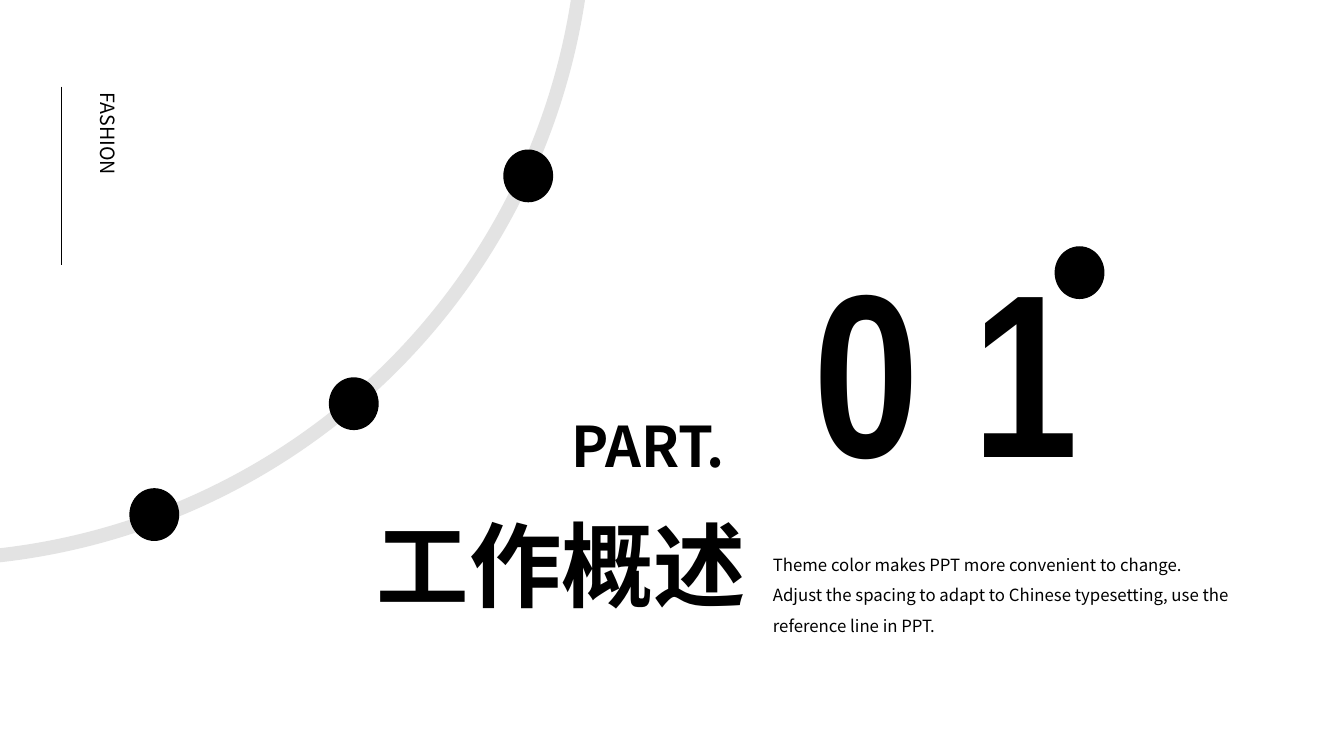
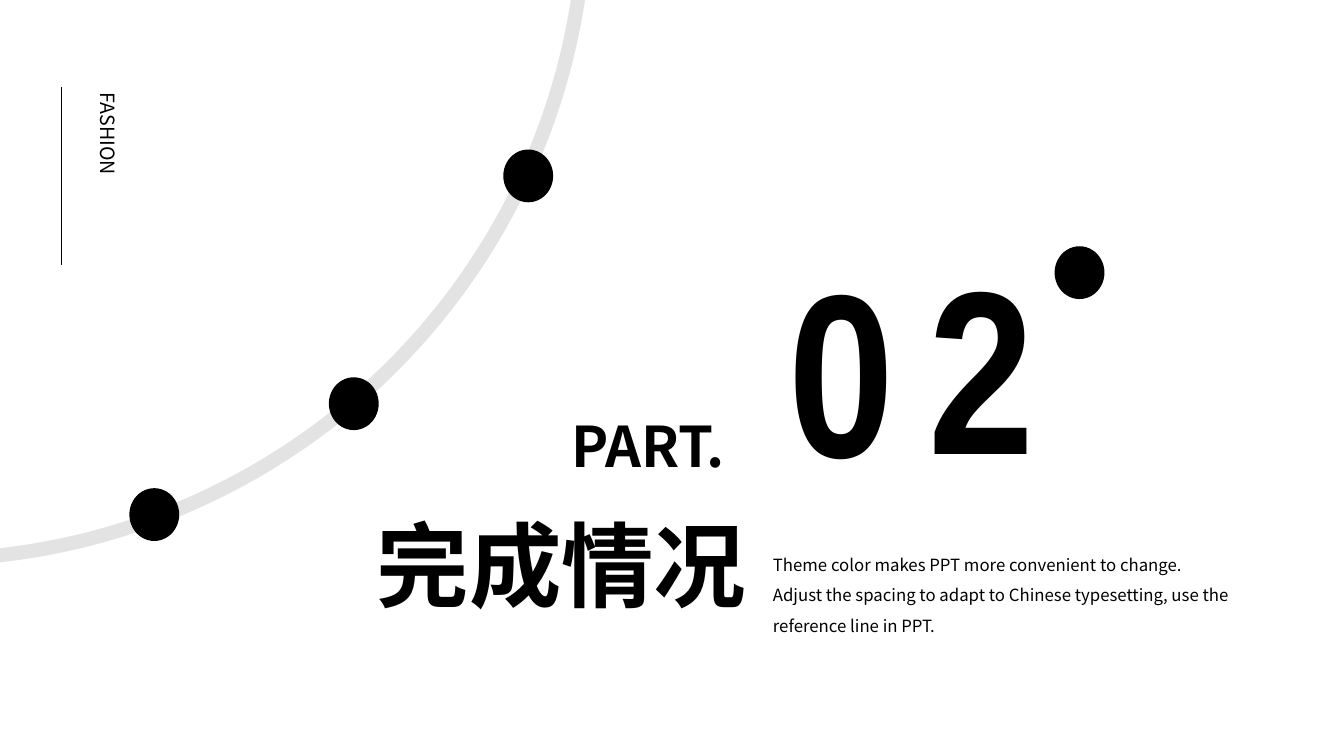
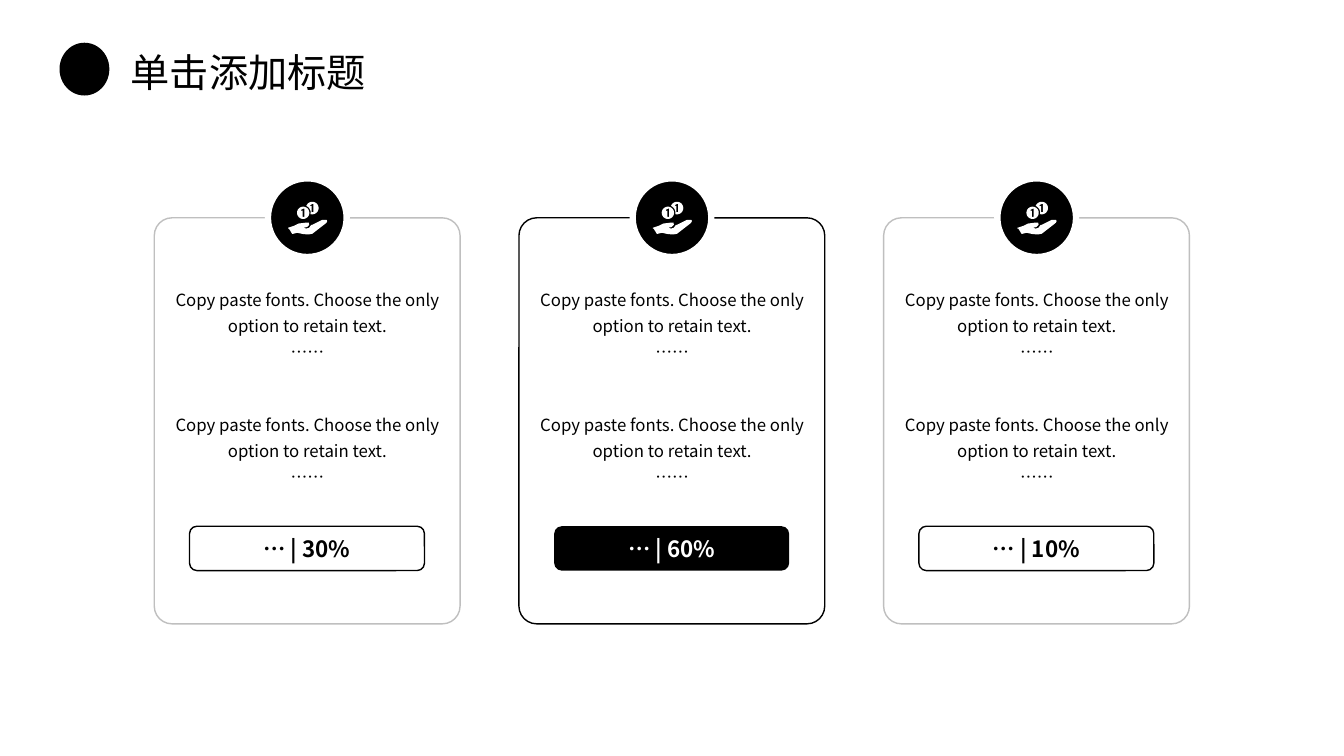
from math import cos, radians, sin

from pptx import Presentation
from pptx.dml.color import RGBColor
from pptx.enum.shapes import MSO_CONNECTOR, MSO_SHAPE
from pptx.enum.text import MSO_ANCHOR as Anchor, MSO_AUTO_SIZE as AutoSize, PP_ALIGN as Align
from pptx.oxml.ns import qn
from pptx.util import Pt

BLACK, WHITE, RING, BORDER = "000000", "FFFFFF", "E3E3E3", "BFBFBF"
SANS, NARROW = "Noto Sans CJK SC", "Arial Narrow"


def rgb(color):
    return RGBColor.from_string(color)


def arc(center, radius, start, end, steps=24):
    """Points along an arc, with angles in degrees clockwise from the right."""
    angles = [radians(start + (end - start) * i / steps) for i in range(steps + 1)]
    return [(center[0] + radius * cos(a), center[1] + radius * sin(a)) for a in angles]


def shift(points, offset):
    return [(x + offset[0], y + offset[1]) for x, y in points]


# Icon outline: a hand below two coins, each coin with a cut-out digit
HAND = [(25.9, 13), (27.5, 13), (28, 13.9), (27.4, 15.1), (26.6, 15.8), (17.3, 23),
        (14.4, 23.5), (10.8, 23.2), (6.5, 22.3), (3.6, 23), (2.9, 23), (0.7, 19.4),
        (0, 19.4), (0, 18.7), (4.3, 17.3), (7.5, 15.7), (12.2, 15.1), (14.8, 15),
        (15.1, 16.6), (13.5, 18.2), (10.8, 18.7), (13.1, 19.3), (15, 18.7),
        (16.6, 16.6), (17.3, 16.6), (24.5, 13)]
DIGIT = [(0, -2.9), (-1.4, -2.2), (-1.4, -1.3), (-0.4, -1.6),
         (-0.4, 2.9), (0.8, 2.9), (0.8, -2.9)]
FRONT, BACK = (10.8, 8), (17.3, 4.6)
ICON = [HAND,
        arc(FRONT, 4.4, 0, 360), shift(DIGIT, FRONT),
        arc(BACK, 4.5, 202, 469) + arc(FRONT, 5.4, 11, -67), shift(DIGIT, BACK)]


class Deck:
    def __init__(self):
        self.prs = Presentation()
        self.prs.slide_width, self.prs.slide_height = Pt(960), Pt(540)
        self.s = None

    def new_slide(self):
        self.s = self.prs.slides.add_slide(self.prs.slide_layouts[6])

    def paint(self, sp, fill, line, width):
        sp.shadow.inherit = False
        if fill:
            sp.fill.solid()
            sp.fill.fore_color.rgb = rgb(fill)
        else:
            sp.fill.background()
        if line:
            sp.line.color.rgb = rgb(line)
            sp.line.width = Pt(width)
        else:
            sp.line.fill.background()

    def set_text(self, sp, text, size, color=BLACK, bold=False, font=SANS,
                 align=Align.LEFT, spacing=None):
        tf = sp.text_frame
        tf.word_wrap = True
        tf.text = text
        for p in tf.paragraphs:
            p.alignment = align
            if spacing:
                p.line_spacing = spacing
            for r in p.runs:
                r.font.name, r.font.size, r.font.bold = font, Pt(size), bold
                r.font.color.rgb = rgb(color)
                east_asian = r._r.get_or_add_rPr().makeelement(qn("a:ea"), {"typeface": font})
                r.font._element.find(qn("a:latin")).addnext(east_asian)

    def shape(self, kind, x, y, w, h, fill=None, line=None, width=1, corner=None):
        sp = self.s.shapes.add_shape(kind, Pt(x), Pt(y), Pt(w), Pt(h))
        if corner is not None:
            sp.adjustments[0] = corner
        self.paint(sp, fill, line, width)
        return sp

    def dot(self, x, y):
        self.shape(MSO_SHAPE.OVAL, x, y, 34.6, 36.7, BLACK, BLACK)

    def text(self, x, y, w, h, text, size, middle=False, vertical=False, **style):
        sp = self.s.shapes.add_textbox(Pt(x), Pt(y), Pt(w), Pt(h))
        self.set_text(sp, text, size, **style)
        tf = sp.text_frame
        if middle:
            tf.vertical_anchor = Anchor.MIDDLE
        else:
            tf.auto_size = AutoSize.SHAPE_TO_FIT_TEXT
        if vertical:
            tf._txBody.bodyPr.set("vert", "eaVert")

    def line(self, x1, y1, x2, y2, width):
        c = self.s.shapes.add_connector(MSO_CONNECTOR.STRAIGHT, Pt(x1), Pt(y1), Pt(x2), Pt(y2))
        c.line.color.rgb = rgb(BLACK)
        c.line.width = Pt(width)
        sp_pr = c._element.spPr
        sp_pr.append(sp_pr.makeelement(qn("a:effectLst"), {}))

    def icon(self, x, y):
        builder = None
        for contour in ICON:
            points = [(Pt(px), Pt(py)) for px, py in contour]
            if builder is None:
                builder = self.s.shapes.build_freeform(*points[0], scale=1.0)
            else:
                builder.move_to(*points[0])
            builder.add_line_segments(points[1:], close=True)
        self.paint(builder.convert_to_shape(Pt(x), Pt(y)), WHITE, None, 0)

    def part_slide(self, title, digits):
        self.new_slide()
        # Number: each entry is text, left, top and width
        self.dot(753.8, 176.4)
        for digit, x, y, w in digits:
            self.text(x, y, w, 208, digit, 166, bold=True, font=NARROW, align=Align.CENTER)
        self.text(401, 290.2, 124.6, 55.4, "PART.", 40, bold=True)
        self.text(545, 374.4, 351.4, 94.3,
                  "Theme color makes PPT more convenient to change.\n"
                  "Adjust the spacing to adapt to Chinese typesetting, "
                  "use the reference line in PPT.",
                  12, middle=True, spacing=1.5)
        # Side label
        self.line(43.9, 61.9, 43.9, 189.4, 0.5)
        self.text(57.6, 59, 31.7, 195.8, "FASHION", 14, vertical=True, align=Align.JUSTIFY)
        # Ring with dots
        self.shape(MSO_SHAPE.OVAL, -524.2, -542.9, 942.5, 942.5, line=RING, width=10)
        for x, y in [(92.9, 349.2), (235.4, 270), (360, 107.3)]:
            self.dot(x, y)
        self.text(262.1, 359.3, 312.5, 87.1, title, 66, bold=True)

    def card(self, x, share, active):
        self.shape(MSO_SHAPE.ROUNDED_RECTANGLE, x, 155.6, 218.4, 290, WHITE,
                   BLACK if active else BORDER, corner=0.058)
        # Share label
        label = self.shape(MSO_SHAPE.ROUNDED_RECTANGLE, x + 25.2, 375.9, 167.8, 31.7,
                           BLACK if active else WHITE, None if active else BLACK)
        self.set_text(label, f"… | {share}%", 16, WHITE if active else BLACK,
                      bold=True, align=Align.CENTER)
        label.text_frame.vertical_anchor = Anchor.MIDDLE
        # Two descriptions
        for y in (194.4, 283.7):
            self.text(x + 3.2, y, 212.4, 72.7,
                      "Copy paste fonts. Choose the only option to retain text.\n……",
                      12, middle=True, align=Align.CENTER, spacing=1.3)
        # Badge
        self.shape(MSO_SHAPE.OVAL, x + 81.2, 127.4, 56.2, 56.2, BLACK, WHITE, 4.5)
        self.icon(x + 95.6, 144)

    def card_slide(self, title, shares, active):
        self.new_slide()
        self.dot(43, 31)
        self.text(86.4, 31, 233.3, 41, title, 28)
        for i, share in enumerate(shares):
            self.card(110.2 + 260.5 * i, share, i == active)


def main():
    deck = Deck()
    deck.part_slide("工作概述", [("0 1", 541.4, 157, 268.6)])
    deck.part_slide("完成情况", [("0", 541.4, 157, 119.5), ("2", 641.5, 154.8, 119.5)])
    deck.card_slide("单击添加标题", [30, 60, 10], active=1)
    deck.prs.save("out.pptx")


if __name__ == "__main__":
    main()
